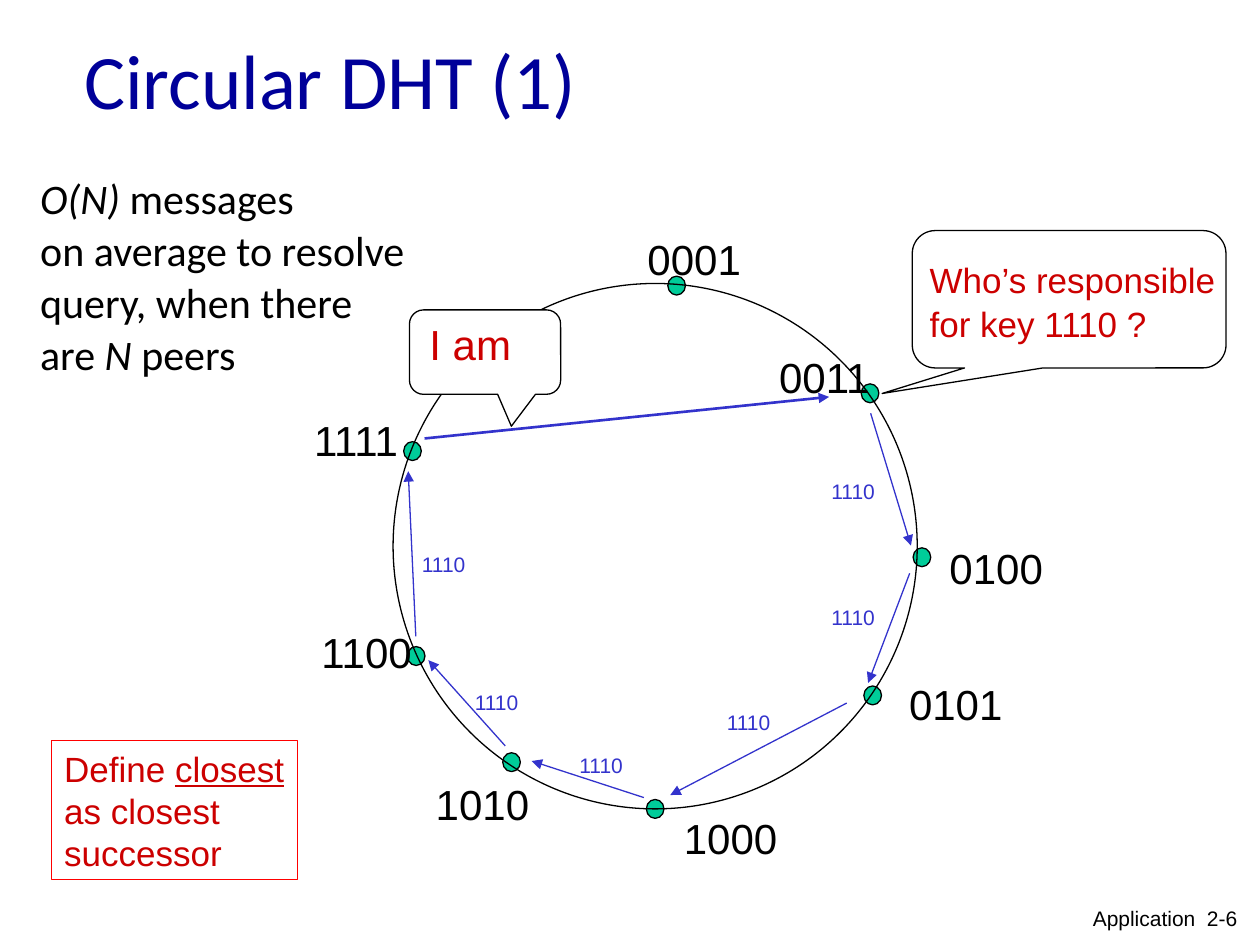
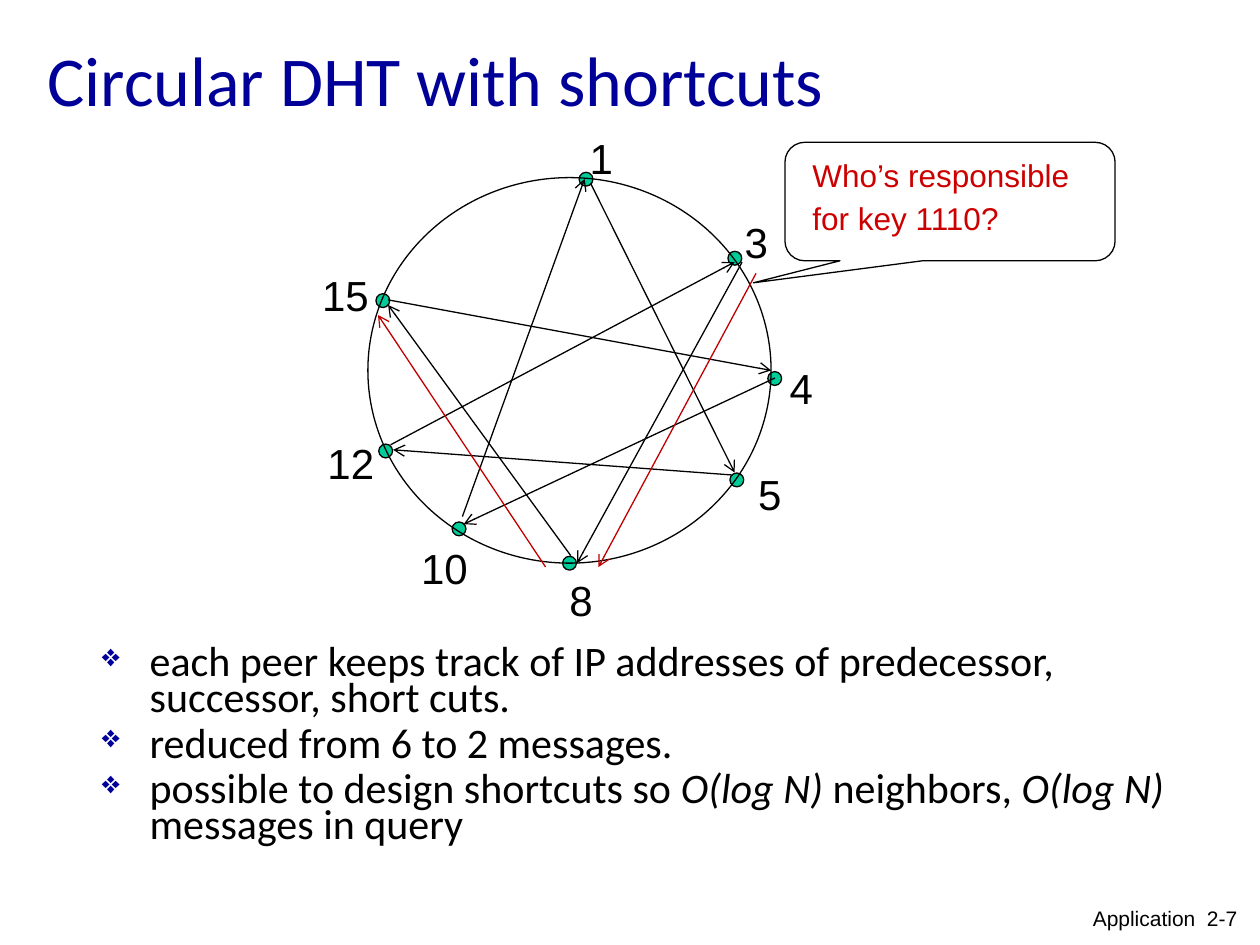
from dataclasses import dataclass
from typing import NamedTuple

from lxml.etree import SubElement
from pptx import Presentation
from pptx.dml.color import RGBColor
from pptx.enum.shapes import MSO_CONNECTOR, MSO_SHAPE
from pptx.enum.text import MSO_ANCHOR, MSO_AUTO_SIZE, PP_ALIGN
from pptx.oxml.ns import qn
from pptx.util import Inches, Pt

WIDTH, HEIGHT = Inches(10), Inches(7.5)
COLUMN, ROW = WIDTH / 100, HEIGHT / 75


@dataclass(frozen=True)
class Theme:
    heading: str = "Calibri"
    label: str = "Arial"
    black: str = "000000"
    white: str = "FFFFFF"
    navy: str = "000099"
    blue: str = "3333CC"
    red: str = "CC0000"
    dark_red: str = "C00000"
    frame_red: str = "FF0000"
    green: str = "00CC99"
    title_size: int = 44
    long_title_size: int = 40
    body_size: int = 24
    note_size: int = 20
    question_size: int = 18
    small_size: int = 12
    thin: float = 0.75
    thick: float = 1.5


THEME = Theme()


class Box(NamedTuple):
    left: float
    top: float
    width: float
    height: float

    def inner(self, left, top, width, height):
        return Box(self.left + left, self.top + top, width, height)

    def point(self, across, down):
        return self.left + across, self.top + down

    def emu(self):
        return (round(self.left * COLUMN), round(self.top * ROW),
                round(self.width * COLUMN), round(self.height * ROW))


def write(shape, paragraphs, size, font=THEME.label, color=THEME.black, before=0,
          line=None, align=PP_ALIGN.LEFT, anchor=MSO_ANCHOR.TOP, wrap=True, bullet=None):
    frame = shape.text_frame
    frame.word_wrap = wrap
    frame.vertical_anchor = anchor
    frame.auto_size = MSO_AUTO_SIZE.NONE if wrap else MSO_AUTO_SIZE.SHAPE_TO_FIT_TEXT
    for index, spans in enumerate(paragraphs):
        para = frame.add_paragraph() if index else frame.paragraphs[0]
        para.alignment = align
        para.space_before = Pt(before)
        if line:
            para.line_spacing = line
        if bullet:
            add_bullet(para, bullet)
        for item in [spans] if isinstance(spans, str) else spans:
            text, style = (item, "") if isinstance(item, str) else item
            for number, part in enumerate(text.split("\n")):
                if number:
                    para.add_line_break()
                span = para.add_run()
                span.text = part
                span.font.name = font
                span.font.size = Pt(size)
                span.font.color.rgb = RGBColor.from_string(color)
                span.font.italic = style == "italic"
                span.font.underline = style == "underline"


def add_bullet(para, mark):
    properties = para._p.get_or_add_pPr()
    properties.set("marL", str(Inches(0.38)))
    properties.set("indent", str(-Inches(0.38)))
    tint = SubElement(properties, qn("a:buClr"))
    SubElement(tint, qn("a:srgbClr"), val=THEME.navy)
    SubElement(properties, qn("a:buSzPct"), val="75000")
    SubElement(properties, qn("a:buChar"), char=mark)


def add_text(page, box, paragraphs, **style):
    shape = page.shapes.add_textbox(*box.emu())
    write(shape, paragraphs, **style)


def add_label(page, left, top, text, size, before, color=THEME.black):
    width = 2 + len(text) * size / 13
    height = 1 + size / 6
    add_text(page, Box(left, top, width, height), [text], size=size,
             before=before, color=color, wrap=False)


def add_outline(page, kind, box, fill=None, line=THEME.black):
    shape = page.shapes.add_shape(kind, *box.emu())
    shape.shadow.inherit = False
    if fill:
        shape.fill.solid()
        shape.fill.fore_color.rgb = RGBColor.from_string(fill)
    else:
        shape.fill.background()
    shape.line.color.rgb = RGBColor.from_string(line)
    shape.line.width = Pt(THEME.thin)
    return shape


def add_arrow(page, ring, ends, color, head, width=THEME.thin):
    x1, y1, x2, y2 = ends
    start, end = ring.point(x1, y1), ring.point(x2, y2)
    arrow = page.shapes.add_connector(
        MSO_CONNECTOR.STRAIGHT, round(start[0] * COLUMN), round(start[1] * ROW),
        round(end[0] * COLUMN), round(end[1] * ROW))
    arrow.line.color.rgb = RGBColor.from_string(color)
    arrow.line.width = Pt(width)
    SubElement(arrow.line._get_or_add_ln(), qn("a:tailEnd"), type=head)
    SubElement(arrow._element.spPr, qn("a:effectLst"))


def add_callout(page, box, pointer, text_box, paragraphs, fill=None, **style):
    bubble = add_outline(page, MSO_SHAPE.ROUNDED_RECTANGULAR_CALLOUT, box, fill)
    for index, value in enumerate(pointer):
        bubble.adjustments[index] = value
    add_text(page, box.inner(*text_box), paragraphs, color=THEME.red, **style)


PEER_PERCENTS = [(54.1, 0.4), (91, 20.9), (100.9, 52.1), (91.5, 78.4),
                 (50, 100), (22.6, 91.1), (4.4, 70.9), (3.7, 31.9)]
QUESTION_POINTER = (-0.596, 0.686, 0.167)


def add_ring(page, box, peers, dot_width, dot_height):
    centers = [box.point(box.width * across / 100, box.height * down / 100)
               for across, down in PEER_PERCENTS]
    for x, y in centers:
        dot = Box(x - dot_width / 2, y - dot_height / 2, dot_width, dot_height)
        add_outline(page, MSO_SHAPE.OVAL, dot, THEME.green)
    add_outline(page, MSO_SHAPE.OVAL, box)
    for (x, y), (name, across, down) in zip(centers, peers):
        add_label(page, x + across, y + down, name, THEME.body_size, 6)


def start_page(deck, title, title_box, title_size, number):
    page = deck.slides.add_slide(deck.slide_layouts[6])
    add_text(page, title_box, [title], size=title_size, font=THEME.heading,
             color=THEME.navy, anchor=MSO_ANCHOR.MIDDLE)
    add_text(page, Box(83.3, 71.4, 15.9, 3.1), [f"Application  2-{number}"],
             size=THEME.small_size, align=PP_ALIGN.RIGHT)
    return page


def build_query_page(deck):
    page = start_page(deck, "Circular DHT (1)", Box(5.7, 0, 85, 12.5), THEME.title_size, 6)
    ring = Box(31.2, 22.5, 41.6, 41.7)
    peers = [("0001", -3.3, -4.6), ("0011", -8.2, -3.8), ("0100", 1.2, -1.7),
             ("0101", 1.9, -1.8), ("1000", 1.3, -0.2), ("1010", -7, 0.8),
             ("1100", -8.5, -2.8), ("1111", -8.8, -3.4)]
    add_ring(page, ring, peers, 1.4, 1.5)
    add_callout(page, Box(72.4, 18.3, 24.9, 10.9), QUESTION_POINTER, (0.4, 2.3, 24.7, 7.3),
                ["Who’s responsible", "for key 1110 ?"], size=THEME.note_size,
                before=5, line=Pt(20), wrap=False)
    hops = [(37.9, 10.3, 41.1, 20.8), (41, 23, 37.7, 31.7), (36, 33.3, 22, 40.6),
            (19.9, 40.8, 11, 37.9), (8.9, 36.7, 2.8, 29.9), (1.8, 28, 1.2, 14.9)]
    for hop in hops:
        add_arrow(page, ring, hop, THEME.blue, "triangle")
    add_arrow(page, ring, (2.5, 12.3, 34.6, 9), THEME.blue, "triangle", THEME.thick)
    add_callout(page, Box(32.5, 24.6, 12, 6.7), (0.174, 0.878, 0.167), (0.6, 0.2, 14.2, 5),
                ["I am"], fill=THEME.white, size=THEME.body_size, before=6)
    add_text(page, Box(2.2, 13.9, 35.8, 16.7),
             [[("O(N) ", "italic"), "messages"], "on average to resolve",
              "query, when there", ["are ", ("N", "italic"), " peers"]],
             size=THEME.body_size, font=THEME.heading, before=6, line=Pt(23.7), wrap=False)
    for spot in [(33.8, 15), (33.8, 25), (25.5, 33.3), (13.8, 36.7), (5.5, 31.7), (1.3, 20.8)]:
        add_label(page, *ring.point(*spot), "1110", THEME.small_size, 3, THEME.blue)
    note = add_outline(page, MSO_SHAPE.RECTANGLE, Box(4.1, 58.8, 19.5, 11), line=THEME.frame_red)
    write(note, [["Define ", ("closest", "underline"), "\nas closest\nsuccessor"]],
          size=THEME.note_size, color=THEME.red, before=5, wrap=False)


def build_shortcut_page(deck):
    page = start_page(deck, "Circular DHT with shortcuts", Box(2.8, 0, 90, 12.5),
                      THEME.long_title_size, 7)
    add_text(page, Box(7.1, 51, 90, 18.3),
             ["each peer keeps track of IP addresses of predecessor, successor, short cuts.",
              "reduced from 6 to 2 messages.",
              ["possible to design shortcuts so ", ("O(log N) ", "italic"), "neighbors, ",
               ("O(log N) ", "italic"), "messages in query"]],
             size=THEME.body_size, font=THEME.heading, before=6, line=0.7, bullet="❖")
    ring = Box(29.2, 14.1, 32, 30.6)
    peers = [("1", -0.7, -4.2), ("3", -0.2, -3.8), ("4", 0.2, -1.8), ("5", 0.7, -1.4),
             ("8", -1, 0.4), ("10", -4, 0.6), ("12", -5.6, -1.6), ("15", -5.8, -3)]
    add_ring(page, ring, peers, 1.1, 1.1)
    shortcuts = [(32.3, 15.9, 7.6, 27.5), (28.9, 23.6, 2, 21.6), (16.1, 30, 1.6, 10.1),
                 (7.5, 26.9, 17.2, 0.1), (1.8, 21.2, 29.1, 6.7), (1.6, 9.7, 32, 15.3),
                 (17.7, 0.5, 29.1, 23.4), (29.7, 6.7, 16.6, 30.6)]
    query = [(30.8, 7.6, 18.3, 30.9), (14.1, 30.9, 0.8, 10.9)]
    for ends in shortcuts:
        add_arrow(page, ring, ends, THEME.black, "arrow")
    for ends in query:
        add_arrow(page, ring, ends, THEME.dark_red, "arrow")
    add_callout(page, Box(62.3, 11.3, 26.2, 9.4), QUESTION_POINTER, (1.2, 0.8, 26, 7.2),
                ["Who’s responsible", "for key 1110?"], size=THEME.question_size,
                before=4.5, line=Pt(20))


def main():
    deck = Presentation()
    deck.slide_width, deck.slide_height = WIDTH, HEIGHT
    build_query_page(deck)
    build_shortcut_page(deck)
    deck.save("out.pptx")


if __name__ == "__main__":
    main()
